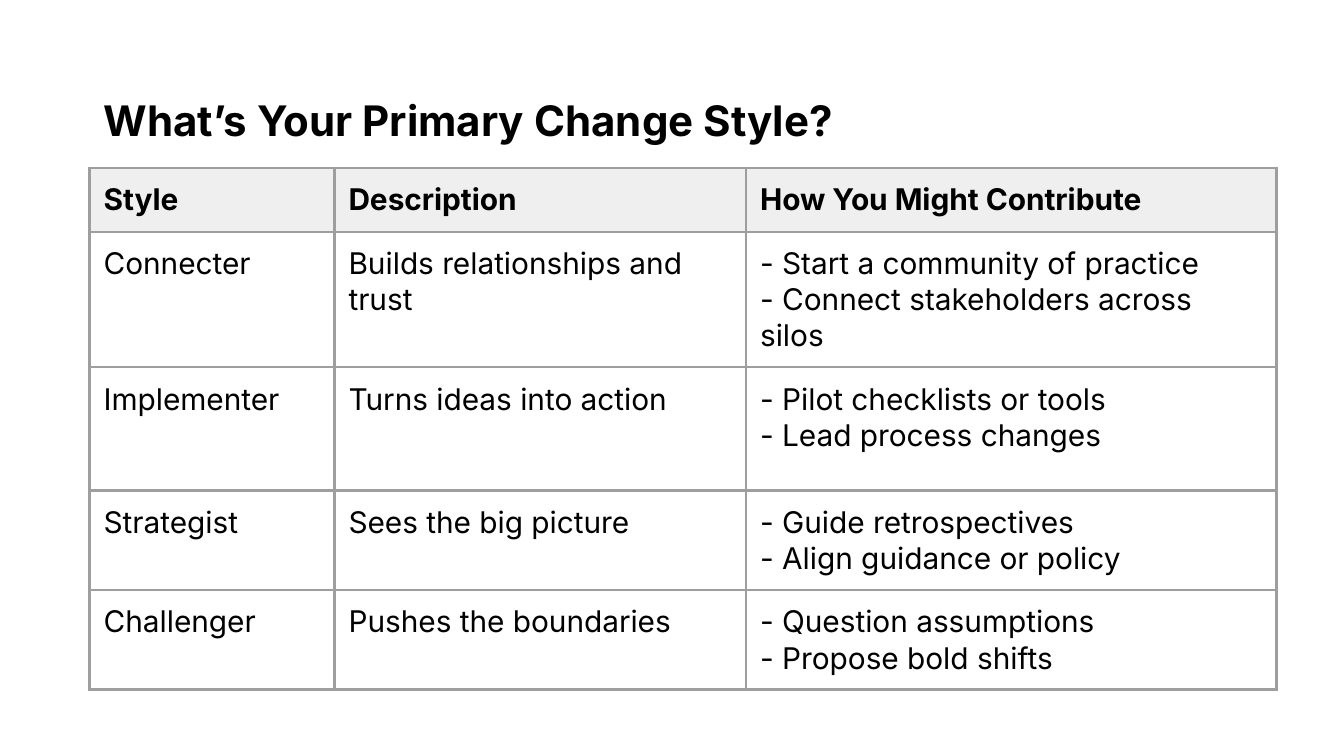
from dataclasses import dataclass
from lxml.etree import SubElement as Sub
from pptx import Presentation as Deck
from pptx.dml.color import RGBColor as Rgb
from pptx.enum.text import MSO_ANCHOR as Anchor
from pptx.oxml.ns import qn
from pptx.util import Pt

PX = 9525


@dataclass(frozen=True)
class Theme:
    """Colours, font and type sizes."""
    font: str = "Inter"
    ink: str = "000000"
    head: str = "EFEFEF"
    rule: str = "9E9E9E"
    title: float = 22.5
    body: float = 16
    line: float = 1.5


LOOK = Theme()
TITLE = "What’s Your Primary Change Style?"
ROWS = [
    ("Style", "Description", "How You Might Contribute"),
    ("Connecter", "Builds relationships and trust",
     "- Start a community of practice\n- Connect stakeholders across silos"),
    ("Implementer", "Turns ideas into action",
     "- Pilot checklists or tools\n- Lead process changes"),
    ("Strategist", "Sees the big picture",
     "- Guide retrospectives\n- Align guidance or policy"),
    ("Challenger", "Pushes the boundaries",
     "- Question assumptions\n- Propose bold shifts"),
]
WIDTHS = (175, 294, 379)
HEIGHTS = (41, 78, 88, 65, 65)


def px(*nums):
    """Turn px lengths into EMU."""
    return [num * PX for num in nums]


def write(frame, text, size, bold=False):
    """Fill a text frame, one paragraph for each line of text."""
    for num, line in enumerate(text.split("\n")):
        para = frame.add_paragraph() if num else frame.paragraphs[0]
        run = para.add_run()
        run.text = line
        font = run.font
        font.name, font.size, font.bold = LOOK.font, Pt(size), bold
        font.color.rgb = Rgb.from_string(LOOK.ink)


def pad(part, side, edge):
    """Set the inner margins of a cell or text frame."""
    part.margin_left = part.margin_right = side * PX
    part.margin_top = part.margin_bottom = edge * PX


def frame_cell(cell):
    """Draw the rule on all four sides of a cell."""
    props = cell._tc.get_or_add_tcPr()
    for num, tag in enumerate(("a:lnL", "a:lnR", "a:lnT", "a:lnB")):
        line = props.makeelement(qn(tag), {"w": str(Pt(LOOK.line))})
        Sub(Sub(line, qn("a:solidFill")), qn("a:srgbClr"), val=LOOK.rule)
        props.insert(num, line)


def add_title(slide, box):
    """Place the slide title in its box."""
    frame = slide.shapes.add_textbox(*px(*box)).text_frame
    frame.word_wrap = True
    frame.vertical_anchor = Anchor.MIDDLE
    pad(frame, 10, 5)
    frame.paragraphs[0].line_spacing = 1.2
    write(frame, TITLE, LOOK.title, True)


def add_grid(slide, box):
    """Place the table of change styles in its box."""
    grid = slide.shapes.add_table(len(ROWS), len(WIDTHS), *px(*box)).table
    grid.horz_banding = False
    for col, width in zip(grid.columns, WIDTHS):
        col.width = width * PX
    for num, (row, high, texts) in enumerate(zip(grid.rows, HEIGHTS, ROWS)):
        row.height = high * PX
        for cell, text in zip(row.cells, texts):
            pad(cell, 10, 10)
            if num:
                cell.fill.background()
            else:
                cell.fill.solid()
                cell.fill.fore_color.rgb = Rgb.from_string(LOOK.head)
            frame_cell(cell)
            write(cell.text_frame, text, LOOK.body, num == 0)


def main():
    """Build and save the slide."""
    deck = Deck()
    deck.slide_width, deck.slide_height = px(960, 540)
    slide = deck.slides.add_slide(deck.slide_layouts[6])
    add_title(slide, (64, 64, 772, 36))
    add_grid(slide, (64, 120, sum(WIDTHS), sum(HEIGHTS)))
    deck.save("out.pptx")


if __name__ == "__main__":
    main()
